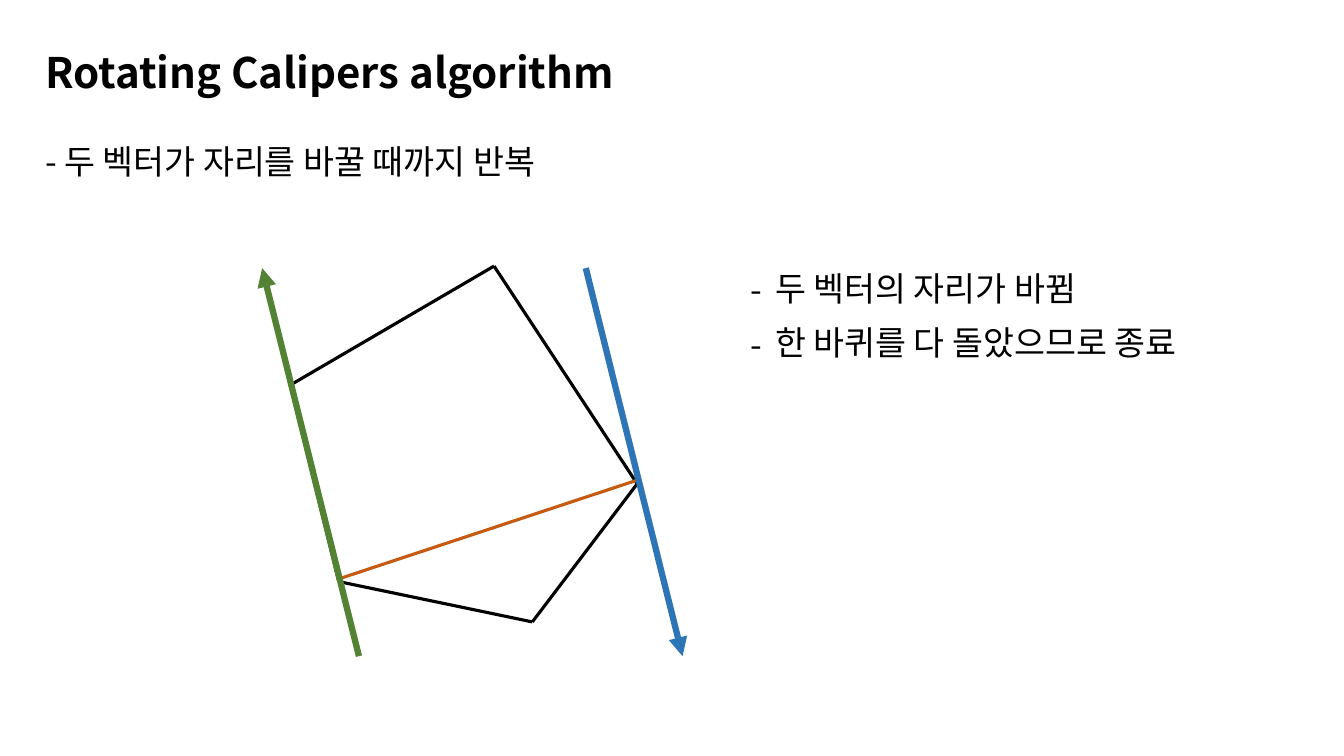
from dataclasses import dataclass
from itertools import pairwise

from lxml import etree
from pptx import Presentation
from pptx import util as u
from pptx.dml.color import RGBColor
from pptx.enum import shapes, text
from pptx.oxml.ns import qn
from pptx.slide import Slide

PX = 9144
FONT = "Noto Sans CJK KR"
COLORS = {
    "black": "000000",
    "orange": "C55A11",
    "green": "548235",
    "blue": "2E75B6",
}

Point = tuple[int, int]


@dataclass(frozen=True)
class Line:
    start: Point
    end: Point
    color: str
    width: float = 2.25
    arrow: bool = False


@dataclass(frozen=True)
class TextBlock:
    left: int
    top: int
    width: int
    height: int
    lines: tuple[str, ...]
    size: int = 24
    bold: bool = False
    middle: bool = False
    bulleted: bool = False
    line_spacing: float = 1.0
    space_before: int = 0


POLYGON = [(288, 382), (490, 264), (632, 480), (528, 617), (336, 577)]
POLYGON_EDGES = [
    Line(start, end, "black") for start, end in pairwise(POLYGON + POLYGON[:1])
]
CALIPERS = [
    Line((633, 476), (337, 574), "orange"),
    Line((356, 651), (260, 266), "green", 4.5, arrow=True),
    Line((581, 266), (677, 651), "blue", 4.5, arrow=True),
]
HEADINGS = [
    TextBlock(35, 35, 1261, 79, ("Rotating Calipers algorithm",),
              size=30, bold=True, middle=True, line_spacing=0.9),
    TextBlock(35, 139, 1261, 56, ("- 두 벡터가 자리를 바꿀 때까지 반복",),
              line_spacing=0.9, space_before=10),
]
CONCLUSION = TextBlock(
    734, 261, 545, 325,
    ("두 벡터의 자리가 바뀜", "한 바퀴를 다 돌았으므로 종료"),
    bulleted=True, space_before=10,
)


def px(length: int) -> u.Emu:
    return u.Emu(length * PX)


def add_line(slide: Slide, line: Line) -> None:
    connector = slide.shapes.add_connector(
        shapes.MSO_CONNECTOR.STRAIGHT, *map(px, line.start + line.end)
    )
    connector.line.color.rgb = RGBColor.from_string(COLORS[line.color])
    connector.line.width = u.Pt(line.width)
    if line.arrow:
        outline = connector.line._get_or_add_ln()
        etree.SubElement(outline, qn("a:tailEnd"), type="triangle")
    etree.SubElement(connector._element.spPr, qn("a:effectLst"))


def add_text(slide: Slide, block: TextBlock) -> None:
    shape = slide.shapes.add_textbox(
        px(block.left), px(block.top), px(block.width), px(block.height)
    )
    frame = shape.text_frame
    frame.word_wrap = True
    frame.vertical_anchor = (
        text.MSO_ANCHOR.MIDDLE if block.middle else text.MSO_ANCHOR.TOP
    )
    frame.text = "\n".join(block.lines)
    for paragraph in frame.paragraphs:
        paragraph.line_spacing = block.line_spacing
        paragraph.space_before = u.Pt(block.space_before)
        if block.bulleted:
            properties = paragraph._p.get_or_add_pPr()
            properties.set("marL", str(px(25)))
            properties.set("indent", str(-px(25)))
            etree.SubElement(properties, qn("a:buFont"), typeface=FONT)
            etree.SubElement(properties, qn("a:buChar"), char="-")
        for run in paragraph.runs:
            run.font.name = FONT
            run.font.size = u.Pt(block.size)
            run.font.bold = block.bold
            run.font.color.rgb = RGBColor.from_string(COLORS["black"])
            etree.SubElement(run.font._element, qn("a:ea"), typeface=FONT)


def main() -> None:
    presentation = Presentation()
    presentation.slide_width = px(1333)
    presentation.slide_height = px(750)
    slide = presentation.slides.add_slide(presentation.slide_layouts[6])
    for line in POLYGON_EDGES:
        add_line(slide, line)
    for heading in HEADINGS:
        add_text(slide, heading)
    for line in CALIPERS:
        add_line(slide, line)
    add_text(slide, CONCLUSION)
    presentation.save("out.pptx")


if __name__ == "__main__":
    main()
